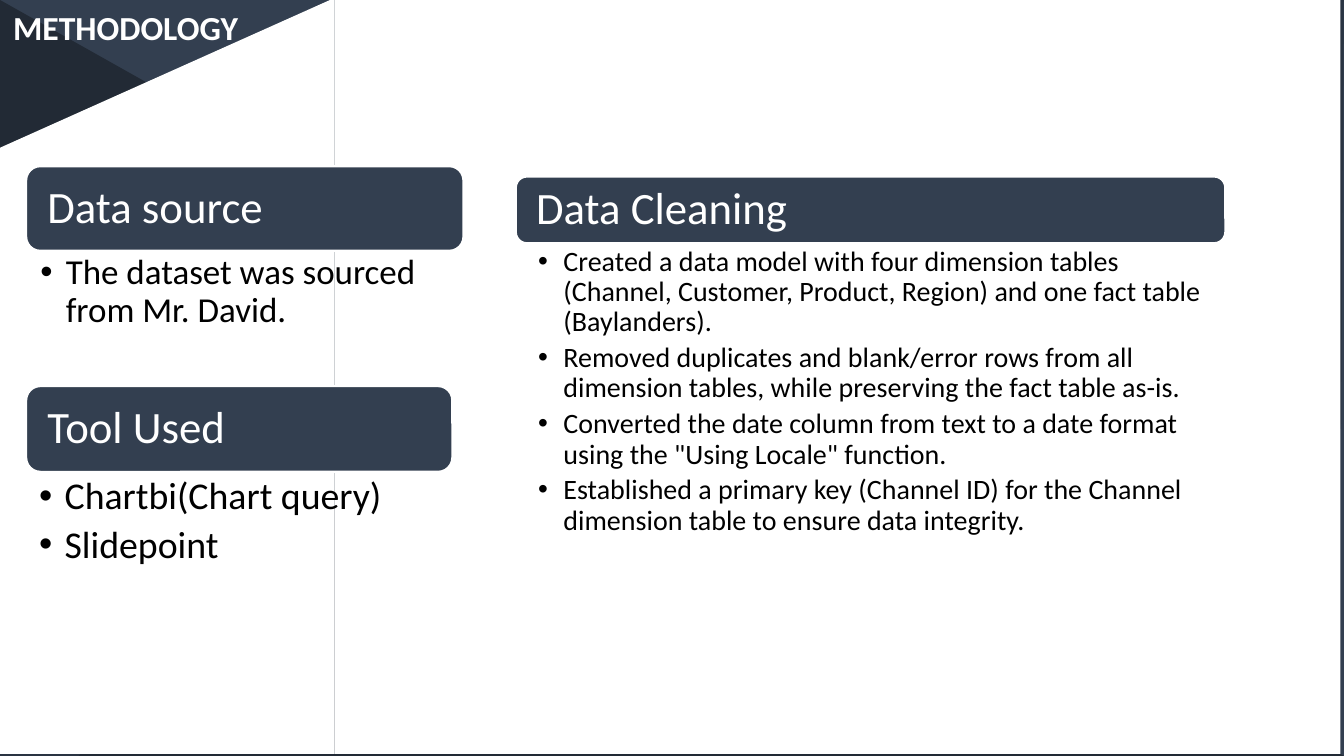
import pptx
import pptx.util
import pptx.oxml
import pptx.oxml.ns
import pptx.dml.color
import pptx.enum.shapes
import pptx.enum.text
from lxml import etree

Cm = pptx.util.Cm
Pt = pptx.util.Pt
Form = pptx.enum.shapes.MSO_SHAPE
Anchor = pptx.enum.text.MSO_ANCHOR
qn = pptx.oxml.ns.qn

WIDE, HIGH = 33.87, 19.05
COLORS = {"slate": "333F50", "dark": "222A35", "white": "FFFFFF", "black": "000000"}


def get_color(name):
    return pptx.dml.color.RGBColor.from_string(COLORS[name])


def add_shape(slide, form, box, fill, line=None, alpha=None, turn=0, adjust=None):
    shape = slide.shapes.add_shape(form, *map(Cm, box))
    shape.shadow.inherit = False
    shape.rotation = turn
    shape.fill.solid()
    shape.fill.fore_color.rgb = get_color(fill)
    if line:
        shape.line.color.rgb = get_color(line)
        shape.line.width = Pt(1.5)
    else:
        shape.line.fill.background()
    if adjust is not None:
        shape.adjustments[0] = adjust
    if alpha:
        tint = shape.fill._xPr.find(".//" + qn("a:srgbClr"))
        etree.SubElement(tint, qn("a:alpha")).set("val", str(alpha * 1000))
    return shape


def add_bullet(para):
    props = para._p.get_or_add_pPr()
    props.set("marL", str(Cm(0.64)))
    props.set("indent", str(-Cm(0.64)))
    etree.SubElement(props, qn("a:buFont")).set("typeface", "Arial")
    etree.SubElement(props, qn("a:buChar")).set("char", "•")


def write(shape, lines, size, color="black", bold=False, bullet=False,
          space=None, gap=0, inset=(0.25, 0.13, 0.25, 0.13), anchor=Anchor.TOP):
    frame = shape.text_frame
    frame.word_wrap = True
    frame.vertical_anchor = anchor
    frame.margin_left, frame.margin_top, frame.margin_right, frame.margin_bottom = map(Cm, inset)
    for index, line in enumerate(lines):
        para = frame.add_paragraph() if index else frame.paragraphs[0]
        para.alignment = pptx.enum.text.PP_ALIGN.LEFT
        para.line_spacing = space
        para.space_after = Pt(gap)
        if bullet:
            add_bullet(para)
        run = para.add_run()
        run.text = line
        run.font.name = "Calibri"
        run.font.size = Pt(size)
        run.font.bold = bold
        run.font.color.rgb = get_color(color)


def add_block(slide, box, title, lines, size, depth, inset):
    left, top, width, height = box
    head = add_shape(slide, Form.ROUNDED_RECTANGLE, box, "slate", line="white")
    write(head, [title], 32, color="white", space=0.9,
          inset=(0.43,) * 4, anchor=Anchor.MIDDLE)
    body = slide.shapes.add_textbox(*map(Cm, (left, top + height, width, depth)))
    write(body, lines, size, bullet=True, space=0.9, gap=size * 0.2, inset=inset)


def add_back(slide):
    fill = slide.background.fill
    fill.solid()
    fill.fore_color.rgb = get_color("slate")
    add_shape(slide, Form.ISOSCELES_TRIANGLE, (0, 0, WIDE, HIGH), "dark", adjust=0)
    add_shape(slide, Form.PARALLELOGRAM, (-1.8, 4.27, 37.44, 10.49), "dark",
              alpha=50, turn=346.3)
    add_shape(slide, Form.ISOSCELES_TRIANGLE, (3, -2.95, 13.74, 28.24), "slate",
              alpha=50, turn=199.1, adjust=1)
    add_shape(slide, Form.RECTANGLE, (8.43, -0.05, 25.35, HIGH), "white")
    add_shape(slide, Form.FLOWCHART_MANUAL_INPUT, (-0.08, -0.05, 8.51, HIGH), "white")


def main():
    deck = pptx.Presentation()
    deck.slide_width, deck.slide_height = Cm(WIDE), Cm(HIGH)
    slide = deck.slides.add_slide(deck.slide_layouts[6])
    add_back(slide)
    title = slide.shapes.add_textbox(*map(Cm, (0.08, 0.05, 6.2, 1.27)))
    write(title, ["METHODOLOGY"], 24, color="white", bold=True)
    add_block(slide, (0.66, 4.19, 11.02, 2.13), "Data source",
              ["The dataset was sourced from Mr. David."],
              25, 2.21, (0.36, 0.1, 0.64, 0.1))
    add_block(slide, (13, 4.45, 17.88, 1.68), "Data Cleaning", [
        "Created a data model with four dimension tables (Channel, Customer, Product, Region) "
        "and one fact table (Baylanders).",
        "Removed duplicates and blank/error rows from all dimension tables, "
        "while preserving the fact table as-is.",
        "Converted the date column from text to a date format "
        'using the "Using Locale" function.',
        "Established a primary key (Channel ID) for the Channel dimension table "
        "to ensure data integrity.",
    ], 20, 8.43, (0.56, 0.1, 0.51, 0.1))
    add_block(slide, (0.66, 9.73, 10.74, 2.16), "Tool Used",
              ["Chartbi(Chart query)", "Slidepoint"],
              27, 2.62, (0.33, 0.13, 0.69, 0.13))
    deck.save("out.pptx")


if __name__ == "__main__":
    main()
